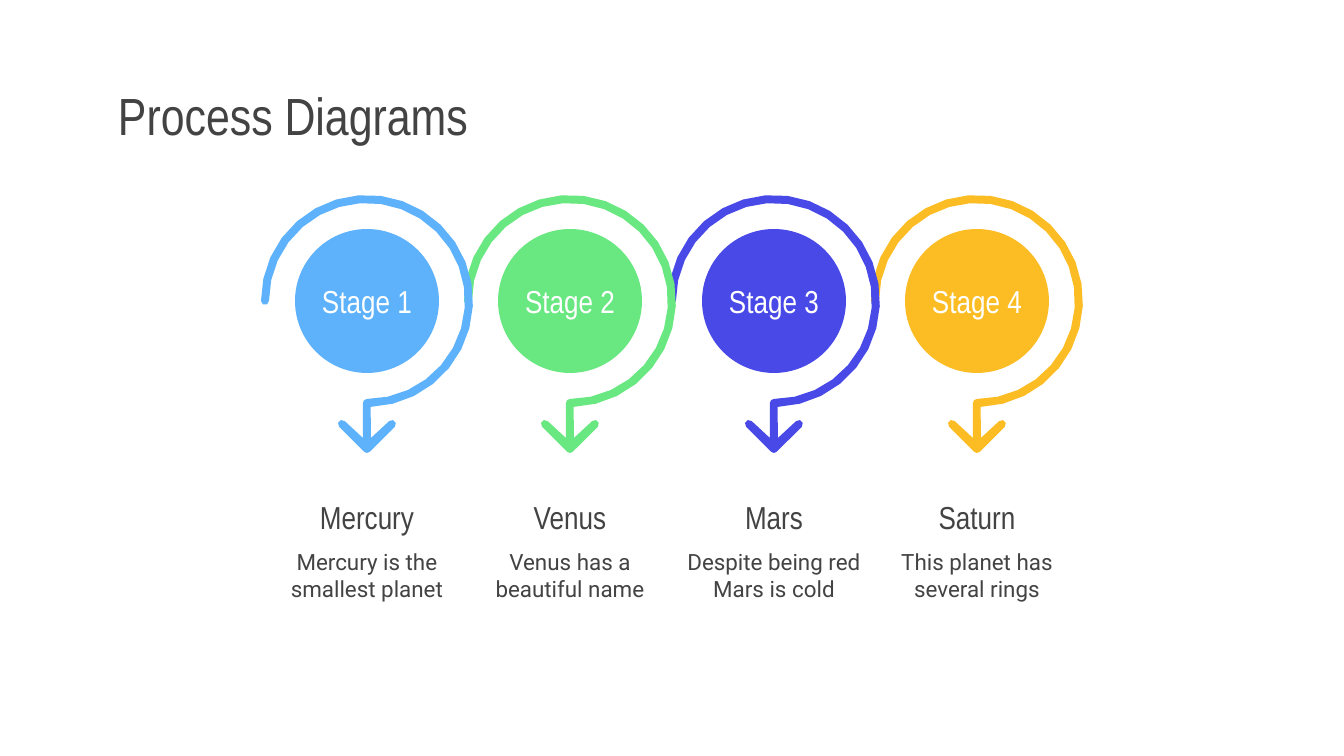
import math

import pptx
import pptx.util
import pptx.dml.color
import pptx.enum.shapes
import pptx.enum.text

SCALE = 914400 / 134.4
COLORS = {
    "ink": "434343",
    "white": "FFFFFF",
    "blue": "5EB2FC",
    "green": "69E781",
    "indigo": "4949E7",
    "yellow": "FCBD24",
}
HEAD = "Arial Narrow"
BODY = "Roboto"
STAGES = [
    ("Stage 1", "Mercury", "Mercury is the smallest planet", "blue"),
    ("Stage 2", "Venus", "Venus has a beautiful name", "green"),
    ("Stage 3", "Mars", "Despite being red Mars is cold", "indigo"),
    ("Stage 4", "Saturn", "This planet has several rings", "yellow"),
]
LEFT, PITCH, MID = 367, 203.4, 301


def px(n):
    return pptx.util.Emu(round(n * SCALE))


def rgb(name):
    return pptx.dml.color.RGBColor.from_string(COLORS[name])


def paint(shape, color):
    shape.shadow.inherit = False
    shape.fill.solid()
    shape.fill.fore_color.rgb = rgb(color)
    shape.line.fill.background()


def write(shape, text, size, font, color, align, wrap=True):
    frame = shape.text_frame
    frame.text = text
    frame.word_wrap = wrap
    frame.auto_size = pptx.enum.text.MSO_AUTO_SIZE.NONE
    frame.vertical_anchor = pptx.enum.text.MSO_ANCHOR.MIDDLE
    frame.margin_left = frame.margin_right = px(13)
    frame.margin_top = frame.margin_bottom = px(13)
    para = frame.paragraphs[0]
    para.alignment = align
    run = para.runs[0]
    run.font.size = pptx.util.Pt(size)
    run.font.name = font
    run.font.color.rgb = rgb(color)


def arc(x, y, radius, start, end, steps):
    angles = [math.radians(start + (end - start) * i / steps) for i in range(steps + 1)]
    return [(x + radius * math.cos(a), y + radius * math.sin(a)) for a in angles]


def outline():
    return (
        arc(0, 0, 106, 180, 448, 22)
        + [(4, 137)]
        + arc(25, 123, 4, -135, 45, 3)
        + arc(0, 148, 4, 45, 135, 2)
        + arc(-25, 123, 4, 135, 315, 3)
        + [(-4, 137)]
        + arc(0, 102, 4, 180, 270, 2)
        + arc(0, 0, 98, 90, -180, 22)
        + arc(-102, 0, 4, 0, 180, 3)
    )


def add_swirl(shapes, mid, color):
    points = [(px(mid + x), px(MID + y)) for x, y in outline()]
    pen = shapes.build_freeform(*points[0])
    pen.add_line_segments(points[1:], close=True)
    paint(pen.convert_to_shape(), color)


def add_disc(shapes, mid, text, color):
    oval = pptx.enum.shapes.MSO_SHAPE.OVAL
    disc = shapes.add_shape(oval, px(mid - 72), px(MID - 72), px(144), px(144))
    paint(disc, color)
    write(disc, text, 17, HEAD, "white", pptx.enum.text.PP_ALIGN.CENTER, False)


def add_label(shapes, mid, top, height, text, size, font):
    box = shapes.add_textbox(px(mid - 114), px(top), px(228), px(height))
    write(box, text, size, font, "ink", pptx.enum.text.PP_ALIGN.CENTER)


def add_stage(slide, mid, stage, planet, note, color):
    shapes = slide.shapes.add_group_shape().shapes
    add_swirl(shapes, mid, color)
    add_disc(shapes, mid, stage, color)
    add_label(shapes, mid, 536, 78, note, 12, BODY)
    add_label(shapes, mid, 485, 63, planet, 17, HEAD)


def add_title(slide, text):
    title = slide.shapes.title
    title.left, title.top = px(105), px(79)
    title.width, title.height = px(1136), px(71)
    write(title, text, 28, HEAD, "ink", pptx.enum.text.PP_ALIGN.LEFT)


def main():
    deck = pptx.Presentation()
    deck.slide_width, deck.slide_height = px(1344), px(756)
    slide = deck.slides.add_slide(deck.slide_layouts[5])
    add_title(slide, "Process Diagrams")
    for i, stage in reversed(list(enumerate(STAGES))):
        add_stage(slide, LEFT + round(i * PITCH), *stage)
    deck.save("out.pptx")


if __name__ == "__main__":
    main()
